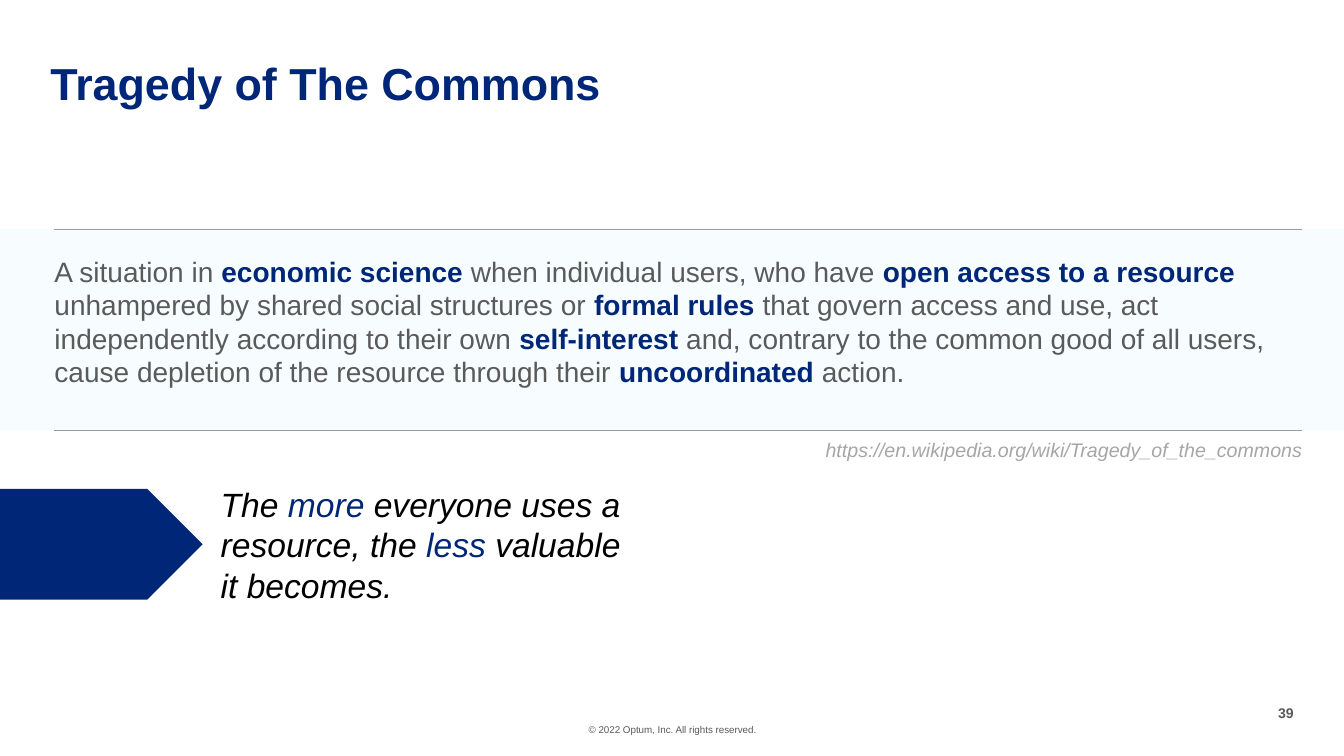
from lxml.etree import SubElement
from pptx import Presentation
from pptx.dml.color import RGBColor
from pptx.enum.shapes import MSO_CONNECTOR as CONNECTOR, MSO_SHAPE as SHAPE
from pptx.enum.text import PP_ALIGN as ALIGN
from pptx.oxml.ns import qn
from pptx.util import Pt

EMU_PER_PX = 9144
SLIDE_SIZE = (1333, 750)
FONT = "Arial"
COLORS = {"navy": "002677", "gray": "5A5A5A", "source": "A6A6A6",
          "black": "000000", "band": "D9F6FA", "rule": "9A9D9E"}

BAND = (0, 227, 1333, 200)
BAND_OPACITY = 20
RULE_LEFT, RULE_RIGHT = 54, 1291
ARROW = (0, 485, 201, 110)

PLAIN = {"color": "gray", "bold": False}
STRONG = {"color": "navy", "bold": True}
BLACK = {"color": "black"}
NAVY = {"color": "navy"}

DEFINITION = [
    ("A situation in ", PLAIN), ("economic science ", STRONG),
    ("when individual users, who have ", PLAIN),
    ("open access to a resource ", STRONG),
    ("unhampered by shared social structures or ", PLAIN),
    ("formal rules ", STRONG),
    ("that govern access and use, act independently according to their own ", PLAIN),
    ("self-interest", STRONG),
    (" and, contrary to the common good of all users, cause depletion "
     "of the resource through their ", PLAIN),
    ("uncoordinated", STRONG), (" action.", PLAIN),
]
TAKEAWAY = [
    ("The ", BLACK), ("more", NAVY), (" everyone uses a resource, the ", BLACK),
    ("less ", NAVY), ("valuable it becomes.", BLACK),
]

TEXTS = [
    {"box": (514, 718, 306, 12), "size": 7, "align": ALIGN.CENTER,
     "runs": [("© 2022 Optum, Inc. All rights reserved.", PLAIN)]},
    {"box": (1266, 699, 17, 17), "size": 10, "align": ALIGN.RIGHT, "wrap": False,
     "runs": [("39", {"color": "gray", "bold": True})]},
    {"box": (50, 61, 1050, 48), "size": 32, "spacing": 0.9,
     "runs": [("Tragedy of The Commons", STRONG)]},
    {"box": (809, 430, 496, 34), "size": 14, "wrap": False, "italic": True,
     "inset": (10, 5),
     "runs": [("https://en.wikipedia.org/wiki/Tragedy_of_the_commons",
               {"color": "source"})]},
    {"box": (209, 475, 438, 131), "size": 24, "italic": True,
     "inset": (10, 5), "runs": TAKEAWAY},
    {"box": (54, 252, 1238, 146), "size": 20, "runs": DEFINITION},
]


def px(*lengths):
    return [length * EMU_PER_PX for length in lengths]


def rgb(name):
    return RGBColor.from_string(COLORS[name])


def add_block(slide, kind, box, color):
    shape = slide.shapes.add_shape(kind, *px(*box))
    shape.shadow.inherit = False
    shape.fill.solid()
    shape.fill.fore_color.rgb = rgb(color)
    shape.line.fill.background()
    return shape


def add_rule(slide, y):
    line = slide.shapes.add_connector(
        CONNECTOR.STRAIGHT, *px(RULE_LEFT, y, RULE_RIGHT, y))
    line.line.color.rgb = rgb("rule")
    line.line.width = Pt(0.25)
    SubElement(line._element.spPr, qn("a:effectLst"))


def add_text(slide, text):
    frame = slide.shapes.add_textbox(*px(*text["box"])).text_frame
    across, down = px(*text.get("inset", (0, 0)))
    layout = {"margin_left": across, "margin_right": across,
              "margin_top": down, "margin_bottom": down,
              "word_wrap": text.get("wrap", True)}
    for name, value in layout.items():
        setattr(frame, name, value)
    paragraph = frame.paragraphs[0]
    paragraph.alignment = text.get("align", ALIGN.LEFT)
    paragraph.line_spacing = text.get("spacing", 1.0)
    for words, style in text["runs"]:
        run = paragraph.add_run()
        run.text = words
        font_values = {"name": FONT, "size": Pt(text["size"]),
                       "bold": style.get("bold", False),
                       "italic": text.get("italic", False)}
        for name, value in font_values.items():
            setattr(run.font, name, value)
        run.font.color.rgb = rgb(style["color"])


def main():
    presentation = Presentation()
    presentation.slide_width, presentation.slide_height = px(*SLIDE_SIZE)
    slide = presentation.slides.add_slide(presentation.slide_layouts[6])

    band = add_block(slide, SHAPE.RECTANGLE, BAND, "band")
    band_color = band._element.spPr.find(qn("a:solidFill"))[0]
    SubElement(band_color, qn("a:alpha"), val=str(BAND_OPACITY * 1000))
    top, height = BAND[1], BAND[3]
    for y in (top, top + height):
        add_rule(slide, y)
    add_block(slide, SHAPE.PENTAGON, ARROW, "navy")
    for text in TEXTS:
        add_text(slide, text)

    presentation.save("out.pptx")


if __name__ == "__main__":
    main()
